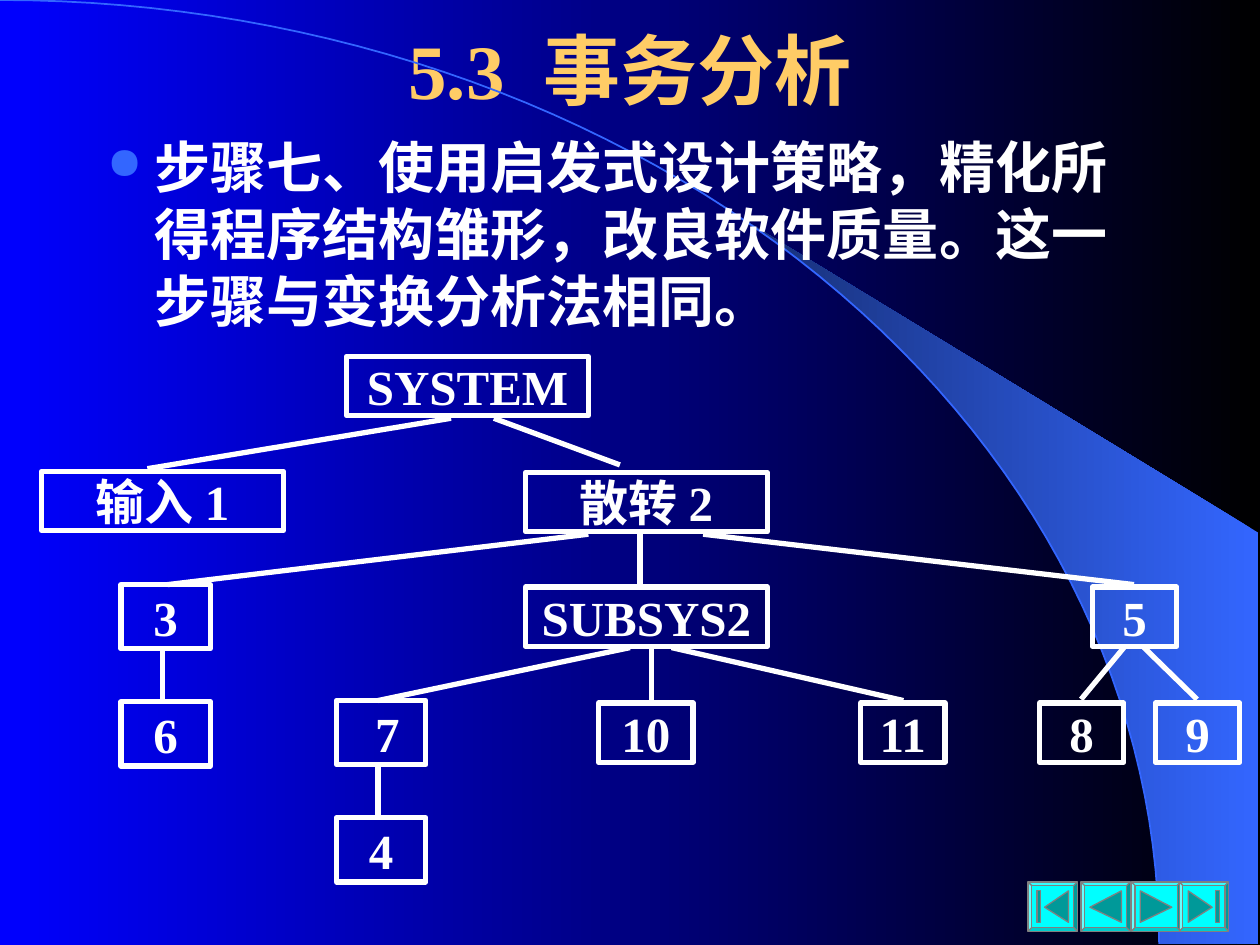
"""Build the transaction analysis slide with its module tree."""
import math
from dataclasses import dataclass

import pptx
import pptx.dml.color
import pptx.enum.shapes
import pptx.enum.text
import pptx.oxml
import pptx.util
from lxml import etree
from pptx.oxml import ns

Inches = pptx.util.Inches
Pt = pptx.util.Pt
SHAPE = pptx.enum.shapes.MSO_SHAPE
ALIGN = pptx.enum.text.PP_ALIGN
ANCHOR = pptx.enum.text.MSO_ANCHOR


@dataclass(frozen=True)
class Theme:
    font: str = "Times New Roman"
    white: str = "FFFFFF"
    gold: str = "FFCC66"
    black: str = "000000"
    blue: str = "0000FF"
    sky: str = "3366FF"
    navy: str = "172F75"
    cyan: str = "00FFFF"
    teal: str = "009999"
    gray: str = "808080"
    title: int = 44
    body: int = 32
    node: int = 28


THEME = Theme()
ARC_W, ARC_H = 9.2, 7.49
WIDE, MID, SMALL = (1.92, 0.47), (0.67, 0.47), (0.71, 0.51)

NODES = [
    ("SYSTEM", 2.75, 2.83, WIDE),
    ("输入 1", 0.33, 3.74, WIDE),
    ("散转 2", 4.17, 3.75, WIDE),
    ("3", 0.96, 4.64, SMALL),
    ("SUBSYS2", 4.17, 4.66, WIDE),
    ("5", 8.67, 4.66, MID),
    ("6", 0.96, 5.57, SMALL),
    (" 7", 2.67, 5.56, SMALL),
    ("10", 4.75, 5.58, (0.75, 0.47)),
    ("11", 6.83, 5.58, MID),
    ("8", 8.25, 5.58, MID),
    ("9", 9.17, 5.58, MID),
    ("4", 2.67, 6.49, SMALL),
]

LINKS = [
    (3.58, 3.32, 1.17, 3.72),
    (3.92, 3.32, 4.92, 3.69),
    (4.67, 4.24, 1.33, 4.64),
    (5.08, 4.24, 5.08, 4.65),
    (5.58, 4.24, 9, 4.64),
    (5, 5.14, 3, 5.56),
    (5.17, 5.14, 5.17, 5.56),
    (5.33, 5.14, 7.17, 5.56),
    (8.92, 5.14, 8.58, 5.55),
    (9.08, 5.14, 9.5, 5.55),
    (1.29, 5.16, 1.29, 5.57),
    (3, 6.07, 3, 6.49),
]

LEFT = [(0.07, 0.2), (0.32, 0.07), (0.32, 0.32)]
FIRST = [(0.13, 0.2), (0.32, 0.07), (0.32, 0.32)]
BAR = [(0.07, 0.07), (0.1, 0.07), (0.1, 0.32), (0.07, 0.32)]


def flip(points):
    return [(0.39 - x, y) for x, y in points]


BUTTONS = [
    (8.16, [FIRST, BAR]),
    (8.58, [LEFT]),
    (8.98, [flip(LEFT)]),
    (9.36, [flip(FIRST), flip(BAR)]),
]


def rgb(code):
    return pptx.dml.color.RGBColor.from_string(code)


def blend(fill, start, end):
    fill.gradient()
    fill.gradient_angle = 180
    for stop, code in zip(fill.gradient_stops, (start, end)):
        stop.color.rgb = rgb(code)


def paint(shape, fill, line, width):
    shape.shadow.inherit = False
    if fill:
        shape.fill.solid()
        shape.fill.fore_color.rgb = rgb(fill)
    else:
        shape.fill.background()
    shape.line.color.rgb = rgb(line)
    shape.line.width = Pt(width)


def write(frame, text, size, color, align):
    frame.text = text
    para = frame.paragraphs[0]
    para.alignment = align
    font = para.font
    font.name, font.size, font.bold = THEME.font, Pt(size), True
    font.color.rgb = rgb(color)
    return para


def trace(shapes, points, close=True):
    spots = [(Inches(x), Inches(y)) for x, y in points]
    pen = shapes.build_freeform(*spots[0])
    pen.add_line_segments(spots[1:], close=close)
    return pen.convert_to_shape()


def curve(start):
    steps = 60
    angles = [start + (math.pi / 2 - start) * i / steps for i in range(steps + 1)]
    return [(ARC_W * math.sin(a), ARC_H * (1 - math.cos(a))) for a in angles]


def add_swoosh(shapes):
    edge = curve(math.asin(5.89 / ARC_W))
    wing = trace(shapes, edge + [(9.99, ARC_H), (9.99, 4.23)])
    wing.shadow.inherit = False
    blend(wing.fill, THEME.sky, THEME.navy)
    wing.line.fill.background()
    paint(trace(shapes, curve(0), close=False), None, THEME.sky, 1)


def add_title(slide):
    title = slide.shapes.title
    title.left, title.top = Inches(0.75), Inches(0.17)
    title.width, title.height = Inches(8.5), Inches(0.75)
    title.text_frame.vertical_anchor = ANCHOR.MIDDLE
    write(title.text_frame, "5.3  事务分析", THEME.title, THEME.gold, ALIGN.CENTER)


def add_body(shapes, text):
    box = shapes.add_textbox(Inches(0.75), Inches(1), Inches(8.5), Inches(1.75))
    box.text_frame.word_wrap = True
    para = write(box.text_frame, text, THEME.body, THEME.white, ALIGN.LEFT)
    para.space_before = Pt(8)
    props = para._p.get_or_add_pPr()
    props.set("marL", str(Inches(0.38)))
    props.set("indent", str(-Inches(0.38)))
    marks = [
        f'<a:buClr {ns.nsdecls("a")}><a:srgbClr val="{THEME.sky}"/></a:buClr>',
        f'<a:buSzPct {ns.nsdecls("a")} val="80000"/>',
        f'<a:buChar {ns.nsdecls("a")} char="●"/>',
    ]
    spot = props.index(props.find(ns.qn("a:defRPr")))
    for i, mark in enumerate(marks):
        props.insert(spot + i, pptx.oxml.parse_xml(mark))


def add_node(shapes, text, x, y, size):
    box = shapes.add_shape(SHAPE.RECTANGLE, *map(Inches, (x, y, *size)))
    paint(box, None, THEME.white, 3)
    frame = box.text_frame
    frame.margin_left = frame.margin_right = frame.margin_top = frame.margin_bottom = 0
    frame.vertical_anchor = ANCHOR.MIDDLE
    frame.word_wrap = False
    write(frame, text, THEME.node, THEME.white, ALIGN.CENTER)


def add_link(shapes, *ends):
    kind = pptx.enum.shapes.MSO_CONNECTOR.STRAIGHT
    link = shapes.add_connector(kind, *map(Inches, ends))
    link.line.color.rgb = rgb(THEME.white)
    link.line.width = Pt(3)
    etree.SubElement(link._element.spPr, ns.qn("a:effectLst"))


def add_button(shapes, x, icons):
    side = Inches(0.39)
    key = shapes.add_shape(SHAPE.BEVEL, Inches(x), Inches(7), side, side)
    key.adjustments[0] = 0.07
    paint(key, THEME.cyan, THEME.gray, 0.75)
    for icon in icons:
        mark = trace(shapes, [(x + dx, 7 + dy) for dx, dy in icon])
        paint(mark, THEME.teal, THEME.gray, 0.75)


def main():
    deck = pptx.Presentation()
    deck.slide_width, deck.slide_height = Inches(10), Inches(7.5)
    slide = deck.slides.add_slide(deck.slide_layouts[5])
    shapes = slide.shapes
    blend(slide.background.fill, THEME.black, THEME.blue)
    add_swoosh(shapes)
    add_title(slide)
    add_body(shapes, "步骤七、使用启发式设计策略，精化所得程序结构雏形，改良软件质量。这一步骤与变换分析法相同。")
    for button in BUTTONS:
        add_button(shapes, *button)
    for node in NODES:
        add_node(shapes, *node)
    for link in LINKS:
        add_link(shapes, *link)
    deck.save("out.pptx")


if __name__ == "__main__":
    main()
